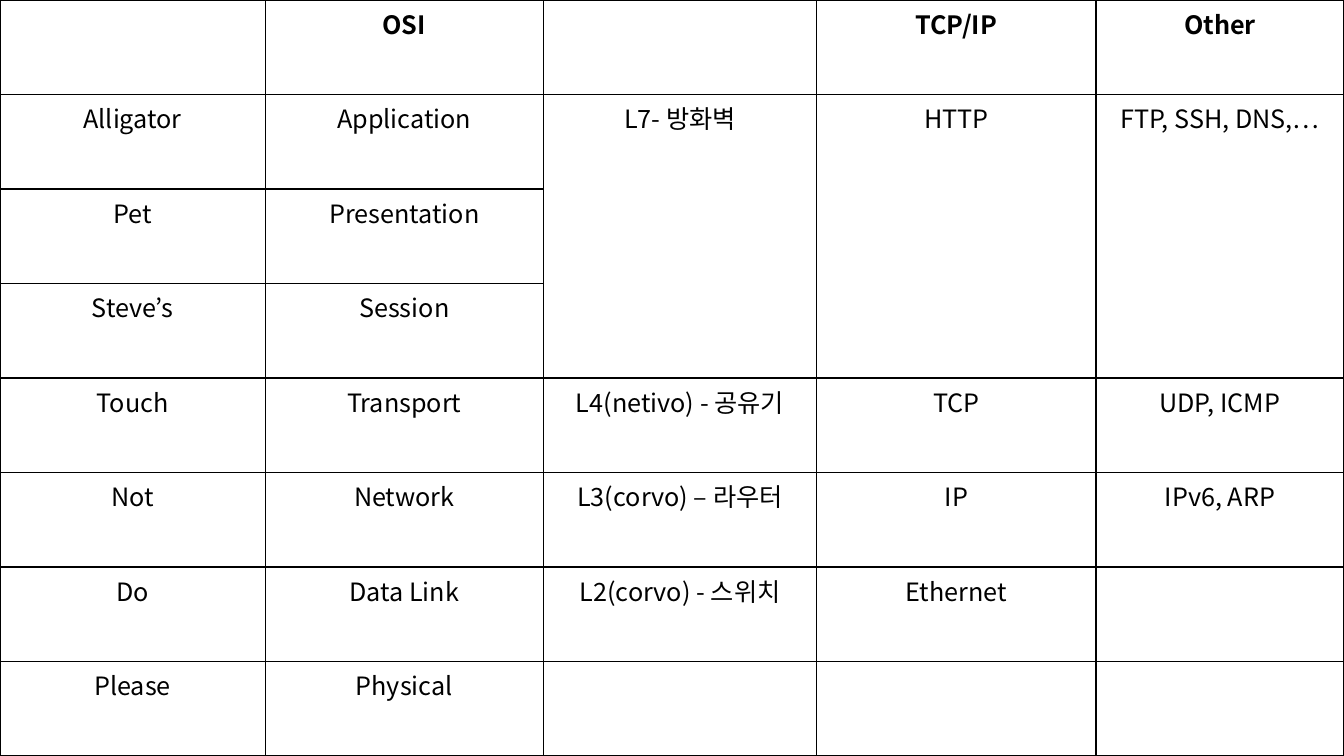
import pptx
import pptx.util
import pptx.dml.color
import pptx.enum.text
import pptx.oxml
import pptx.oxml.ns

WIDE, HIGH = 13.33, 7.5
FONT = "Noto Sans CJK KR"
COLS = [2.63, 2.76, 2.71, 2.77, 2.46]
ROWS = [
    ["", "OSI", "", "TCP/IP", "Other"],
    ["Alligator", "Application", "L7- 방화벽", "HTTP", "FTP, SSH, DNS,…"],
    ["Pet", "Presentation", "", "", ""],
    ["Steve’s", "Session", "", "", ""],
    ["Touch", "Transport", "L4(netivo) - 공유기", "TCP", "UDP, ICMP"],
    ["Not", "Network", "L3(corvo) – 라우터", "IP", "IPv6, ARP"],
    ["Do", "Data Link", "L2(corvo) - 스위치", "Ethernet", ""],
    ["Please", "Physical", "", "", ""],
]


def color(code):
    return pptx.dml.color.RGBColor.from_string(code)


def border(cell, code, width):
    props = cell._tc.get_or_add_tcPr()
    for spot, side in enumerate(["lnL", "lnR", "lnT", "lnB"]):
        line = pptx.oxml.parse_xml(
            f'<a:{side} {pptx.oxml.ns.nsdecls("a")} w="{pptx.util.Pt(width)}">'
            f'<a:solidFill><a:srgbClr val="{code}"/></a:solidFill></a:{side}>')
        props.insert(spot, line)


def write(cell, text, bold):
    cell.text_frame.text = text
    para = cell.text_frame.paragraphs[0]
    para.alignment = pptx.enum.text.PP_ALIGN.CENTER
    for run in para.runs:
        run.font.name = FONT
        run.font.size = pptx.util.Pt(18)
        run.font.bold = bold
        run.font.color.rgb = color("000000")
        east = pptx.oxml.parse_xml(
            f'<a:ea {pptx.oxml.ns.nsdecls("a")} typeface="{FONT}"/>')
        run.font._element.append(east)


def grid(slide, rows, cols):
    frame = slide.shapes.add_table(
        len(rows), len(cols), 0, 0,
        pptx.util.Inches(WIDE), pptx.util.Inches(HIGH))
    table = frame.table
    table.first_row = False
    table.horz_banding = False
    for column, width in zip(table.columns, cols):
        column.width = pptx.util.Inches(width)
    for r, row in enumerate(rows):
        table.rows[r].height = pptx.util.Inches(HIGH / len(rows))
        for c, text in enumerate(row):
            cell = table.cell(r, c)
            write(cell, text, r == 0)
            cell.fill.solid()
            cell.fill.fore_color.rgb = color("FFFFFF")
            border(cell, "000000", 1)
    return table


def main():
    deck = pptx.Presentation()
    deck.slide_width = pptx.util.Inches(WIDE)
    deck.slide_height = pptx.util.Inches(HIGH)
    slide = deck.slides.add_slide(deck.slide_layouts[6])
    table = grid(slide, ROWS, COLS)
    for c in range(2, len(COLS)):
        table.cell(1, c).merge(table.cell(3, c))
    deck.save("out.pptx")


if __name__ == "__main__":
    main()
